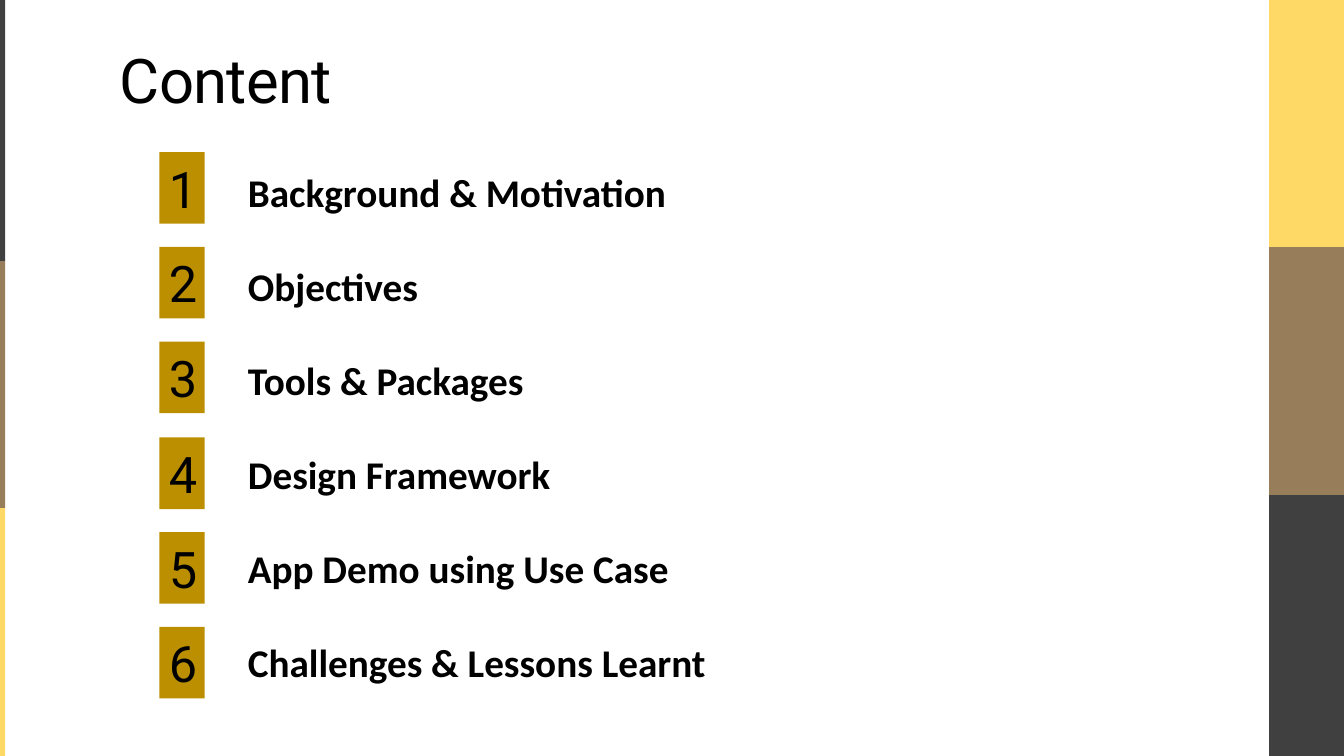
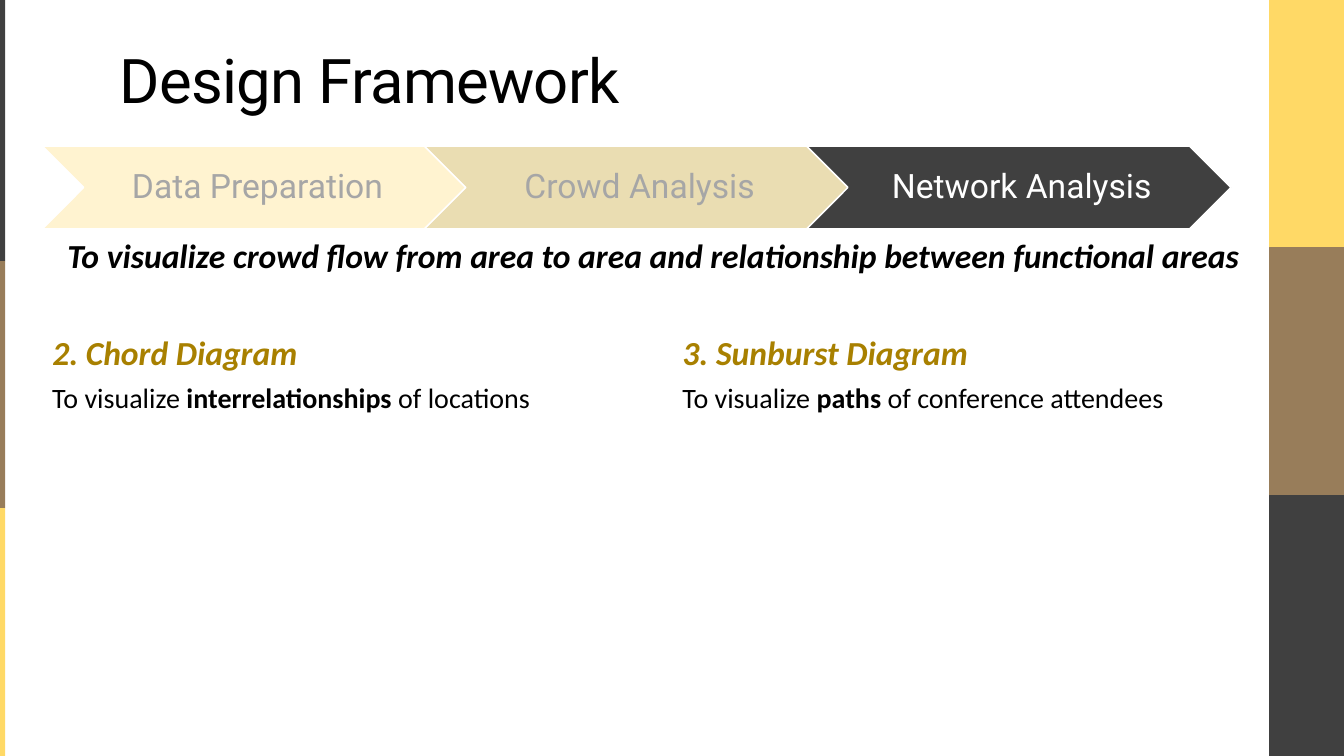
from lxml import etree
from pptx import Presentation, util as u
from pptx.dml.color import RGBColor
from pptx.enum import shapes, text
from pptx.oxml.ns import qn

PX = 9144  # 100 px to the inch
WIDTH, HEIGHT = 1333, 750

COLOURS = {
    "yellow": "FFD966", "brown": "987D5A", "charcoal": "404040",
    "gold": "BC8F00", "dark gold": "A88000", "grey": "A6A6A6",
    "black": "000000", "white": "FFFFFF",
}

# (left, width, line colour wanted, [(colour, top, bottom), ...])
SIDE_BANDS = [
    (1259, 74, True, [("yellow", 0, 246), ("brown", 246, 492), ("charcoal", 492, HEIGHT)]),
    (0, 5, False, [("charcoal", 0, 259), ("brown", 259, 504), ("yellow", 504, HEIGHT)]),
]

AGENDA = [
    "Background & Motivation",
    "Objectives",
    "Tools & Packages",
    "Design Framework",
    "App Demo using Use Case",
    "Challenges & Lessons Learnt",
]

# (label, fill, fill opacity in percent, text colour)
STAGES = [
    ("Data Preparation", "yellow", 30, "grey"),
    ("Crowd Analysis", "gold", 30, "grey"),
    ("Network Analysis", "charcoal", 100, "white"),
]
GOAL = "To visualize crowd flow from area to area and relationship between functional areas"
# (heading, [(words, bold), ...])
DIAGRAMS = [
    ("2. Chord Diagram",
     [("To visualize ", False), ("interrelationships ", True), ("of locations", False)]),
    ("3. Sunburst Diagram",
     [("To visualize ", False), ("paths ", True), ("of conference attendees", False)]),
]


def rgb(name):
    return RGBColor.from_string(COLOURS[name])


def place(left, top, width, height):
    return [u.Emu(round(v * PX)) for v in (left, top, width, height)]


def style(run, size, colour="black", font="Calibri", bold=False, italic=False):
    run.font.size = u.Pt(size)
    run.font.name = font
    run.font.color.rgb = rgb(colour)
    run.font.bold = bold
    run.font.italic = italic


def add_block(slide, kind, box, fill, line=None, opacity=100):
    block = slide.shapes.add_shape(kind, *place(*box))
    block.shadow.inherit = False
    block.fill.solid()
    block.fill.fore_color.rgb = rgb(fill)
    if opacity < 100:
        colour = block.fill._xPr.find(qn("a:solidFill"))[0]
        etree.SubElement(colour, qn("a:alpha")).set("val", str(opacity * 1000))
    if line:
        block.line.color.rgb = rgb(line)
        block.line.width = u.Pt(1.1)
    else:
        block.line.fill.background()
    return block


def label_block(block, words, size, colour, insets):
    """Centre one Roboto line in a block; insets are left, top, right, bottom."""
    frame = block.text_frame
    frame.text = words
    frame.word_wrap = True
    frame.vertical_anchor = text.MSO_ANCHOR.MIDDLE
    (frame.margin_left, frame.margin_top,
     frame.margin_right, frame.margin_bottom) = place(*insets)
    frame.paragraphs[0].alignment = text.PP_ALIGN.CENTER
    style(frame.paragraphs[0].runs[0], size, colour, "Roboto")


def add_text(slide, box, paragraphs, size, **look):
    """Add a text box; each paragraph is a list of (words, bold) runs."""
    frame = slide.shapes.add_textbox(*place(*box)).text_frame
    frame.word_wrap = True
    for index, parts in enumerate(paragraphs):
        paragraph = frame.add_paragraph() if index else frame.paragraphs[0]
        for words, bold in parts:
            run = paragraph.add_run()
            run.text = words
            style(run, size, bold=bold, **look)
    return frame


def add_slide(deck, title):
    """Add a blank slide with the shared side bands and title."""
    slide = deck.slides.add_slide(deck.slide_layouts[6])
    for left, width, outlined, bands in SIDE_BANDS:
        for colour, top, bottom in bands:
            add_block(slide, shapes.MSO_SHAPE.RECTANGLE,
                      (left, top, width, bottom - top), colour,
                      colour if outlined else None)
    frame = add_text(slide, (109, 22, 1010, 99), [[(title, False)]], 44, font="Roboto")
    frame.vertical_anchor = text.MSO_ANCHOR.BOTTOM
    heading = frame.paragraphs[0]
    heading.line_spacing = 0.9
    heading.runs[0].font._element.set("spc", "-50")
    return slide


def build_content(deck):
    slide = add_slide(deck, "Content")
    frame = add_text(slide, (236, 162, 715, 528),
                     [[(topic, True)] for topic in AGENDA], 28)
    for paragraph in frame.paragraphs[1:]:
        paragraph.space_before = u.Pt(33.5)
    for index in range(len(AGENDA)):
        number = add_block(slide, shapes.MSO_SHAPE.RECTANGLE,
                           (158, round(151 + 94.2 * index), 45, 71), "gold")
        label_block(number, str(index + 1), 36, "black", (2, 5, 0, 5))


def build_framework(deck):
    slide = add_slide(deck, "Design Framework")
    for index, (label, fill, opacity, colour) in enumerate(STAGES):
        stage = add_block(slide, shapes.MSO_SHAPE.CHEVRON,
                          (42 + 379 * index, 145, 421, 82), fill, "white", opacity)
        label_block(stage, label, 24, colour, (10, 4, 4, 4))
        stage.text_frame.paragraphs[0].line_spacing = 0.9
    add_text(slide, (57, 228, 1200, 50), [[(GOAL, True)]], 24, italic=True)
    for index, (heading, purpose) in enumerate(DIAGRAMS):
        left = 42 + 625 * index
        add_text(slide, (left, 324, 569, 50), [[(heading, True)]], 24,
                 colour="dark gold", italic=True)
        add_text(slide, (left, 373, 536, 44), [purpose], 20)


def main():
    deck = Presentation()
    deck.slide_width, deck.slide_height = place(0, 0, WIDTH, HEIGHT)[2:]
    build_content(deck)
    build_framework(deck)
    deck.save("out.pptx")


if __name__ == "__main__":
    main()
